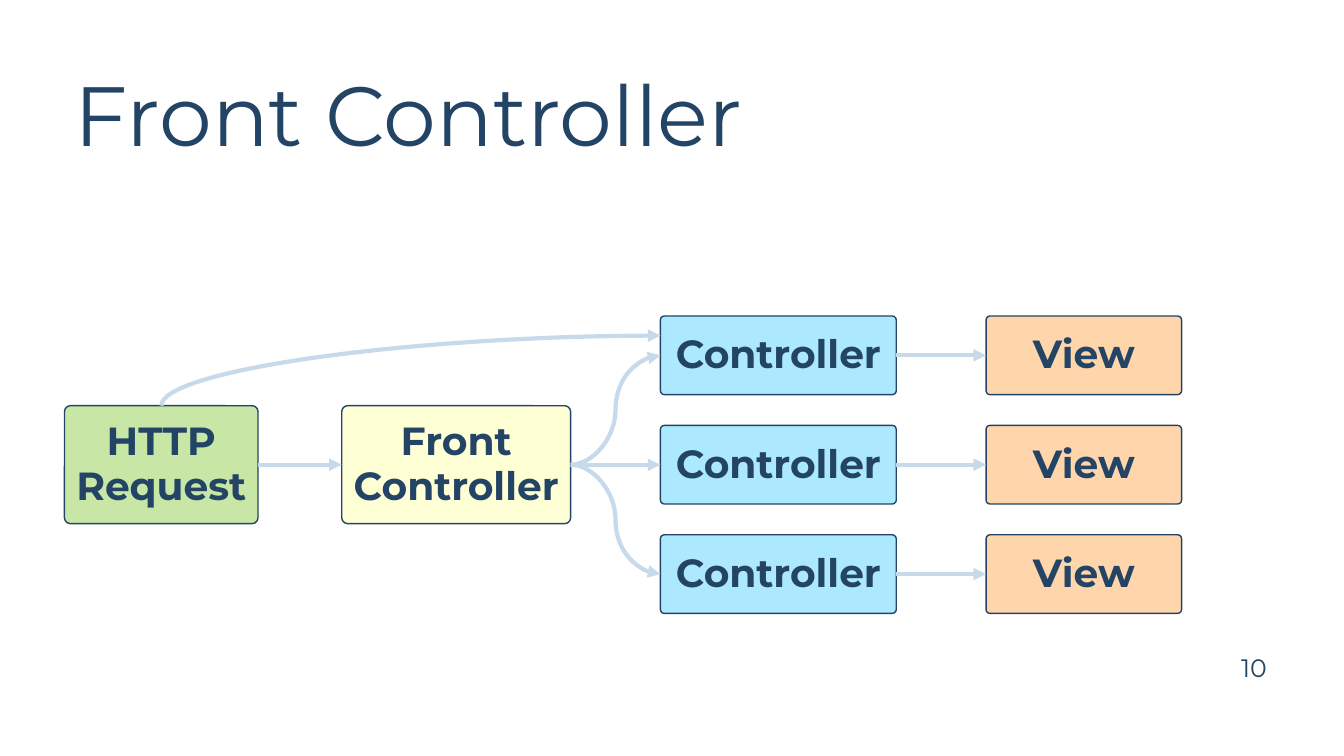
from dataclasses import dataclass

from lxml.etree import SubElement
from pptx import Presentation
from pptx.dml.color import RGBColor
from pptx.enum.shapes import MSO_CONNECTOR, MSO_SHAPE
from pptx.enum.text import MSO_ANCHOR, PP_ALIGN
from pptx.oxml.ns import qn
from pptx.shapes.autoshape import Shape
from pptx.shapes.connector import Connector
from pptx.slide import Slide
from pptx.util import Inches, Pt

WIDE, HIGH = Inches(13.33), Inches(7.5)
FONT = "Montserrat"
TINTS = {
    "ink": "234465",
    "arrow": "C7DAEC",
    "green": "92D050",
    "yellow": "FFFF99",
    "blue": "5BD4FF",
    "orange": "FFAD5B",
}
MID, STEP = 61.47, 14.47
LANES = [MID - STEP, MID, MID + STEP]


@dataclass
class Kind:
    text: str
    left: float
    width: float
    height: float
    tint: str
    alpha: int


@dataclass
class Label:
    text: str
    left: float
    top: float
    width: float
    height: float
    size: int
    space: float
    anchor: MSO_ANCHOR


HTTP = Kind("HTTP Request", 4.8, 14.4, 15.6, "green", 50)
FRONT = Kind("Front Controller", 25.43, 17.03, 15.6, "yellow", 40)
CONTROL = Kind("Controller", 49.14, 17.55, 10.4, "blue", 50)
VIEW = Kind("View", 73.37, 14.55, 10.4, "orange", 50)
LABELS = [
    Label("Front Controller", 4.8, 8.8, 95.12, 13.87, 60, 0.9, MSO_ANCHOR.MIDDLE),
    Label("10", 91.6, 85.6, 3.5, 2.8, 18, 1, MSO_ANCHOR.TOP),
]


def col(share: float) -> int:
    return round(WIDE * share / 100)


def row(share: float) -> int:
    return round(HIGH * share / 100)


def tint(name: str) -> RGBColor:
    return RGBColor.from_string(TINTS[name])


def write(shape: Shape, text: str, size: int, space: float, bold: bool = False) -> None:
    frame = shape.text_frame
    frame.word_wrap = True
    frame.text = text
    para = frame.paragraphs[0]
    para.line_spacing = space
    font = para.runs[0].font
    font.name, font.size, font.bold = FONT, Pt(size), bold
    font.color.rgb = tint("ink")


def add_label(slide: Slide, label: Label) -> None:
    box = slide.shapes.add_textbox(
        col(label.left), row(label.top), col(label.width), row(label.height)
    )
    write(box, label.text, label.size, label.space)
    box.text_frame.vertical_anchor = label.anchor


def add_box(slide: Slide, kind: Kind, lane: float) -> Shape:
    box = slide.shapes.add_shape(
        MSO_SHAPE.ROUNDED_RECTANGLE,
        col(kind.left),
        row(lane - kind.height / 2),
        col(kind.width),
        row(kind.height),
    )
    box.adjustments[0] = 0.05
    box.shadow.inherit = False
    box.fill.solid()
    box.fill.fore_color.rgb = tint(kind.tint)
    shade = box.element.spPr.find(qn("a:solidFill"))[0]
    SubElement(shade, qn("a:alpha"), val=str(kind.alpha * 1000))
    box.line.color.rgb = tint("ink")
    box.line.width = Pt(1)
    write(box, kind.text, 28, 0.95, True)
    frame = box.text_frame
    frame.margin_left = frame.margin_right = Inches(0.05)
    frame.vertical_anchor = MSO_ANCHOR.MIDDLE
    frame.paragraphs[0].alignment = PP_ALIGN.CENTER
    return box


def style(line: Connector) -> None:
    line.line.color.rgb = tint("arrow")
    line.line.width = Pt(3)
    props = line.element.spPr
    SubElement(props.find(qn("a:ln")), qn("a:tailEnd"), type="triangle")
    SubElement(props, qn("a:effectLst"))


def link(slide: Slide, start: Shape, end: Shape, form: MSO_CONNECTOR) -> None:
    line = slide.shapes.add_connector(form, 0, 0, 0, 0)
    line.begin_connect(start, 3)
    line.end_connect(end, 1)
    style(line)


def add_bypass(slide: Slide, start: Shape, end: Shape) -> None:
    left, base = start.left + start.width // 2, start.top
    right, top = end.left, end.top + end.height // 4
    mid_x, mid_y = (left + right) // 2, (base + top) // 2
    half_w, half_h = (base - top) // 2, (right - left) // 2
    line = slide.shapes.add_connector(
        MSO_CONNECTOR.CURVE,
        mid_x + half_w,
        mid_y + half_h,
        mid_x - half_w,
        mid_y - half_h,
    )
    props = line.element.spPr
    props.find(qn("a:xfrm")).set("rot", "5400000")
    props.find(qn("a:prstGeom")).set("prst", "curvedConnector2")
    style(line)


def main() -> None:
    deck = Presentation()
    deck.slide_width, deck.slide_height = WIDE, HIGH
    slide = deck.slides.add_slide(deck.slide_layouts[6])
    for label in LABELS:
        add_label(slide, label)
    front = add_box(slide, FRONT, MID)
    http = add_box(slide, HTTP, MID)
    link(slide, http, front, MSO_CONNECTOR.STRAIGHT)
    controls = [add_box(slide, CONTROL, lane) for lane in LANES]
    views = [add_box(slide, VIEW, lane) for lane in LANES]
    for lane, control, view in zip(LANES, controls, views):
        form = MSO_CONNECTOR.STRAIGHT if lane == MID else MSO_CONNECTOR.CURVE
        link(slide, front, control, form)
        link(slide, control, view, MSO_CONNECTOR.STRAIGHT)
    add_bypass(slide, http, controls[0])
    deck.save("out.pptx")


if __name__ == "__main__":
    main()
